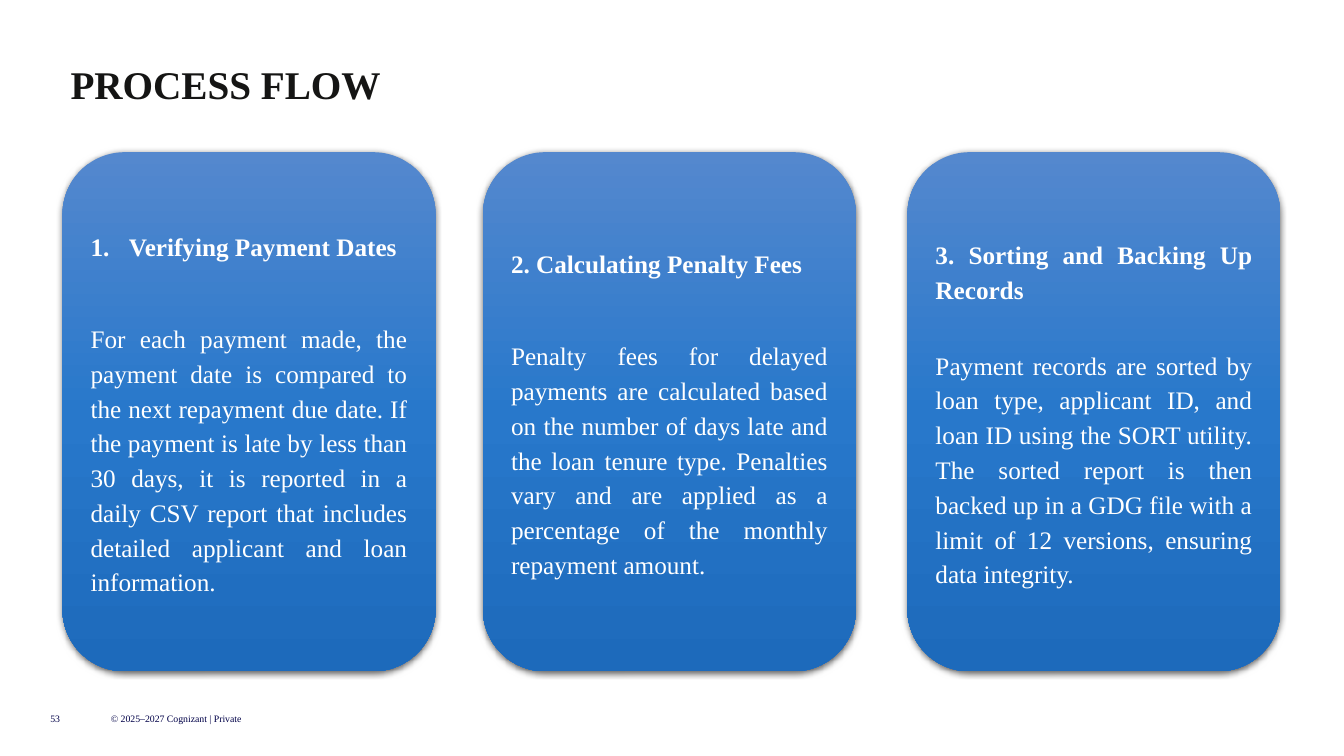
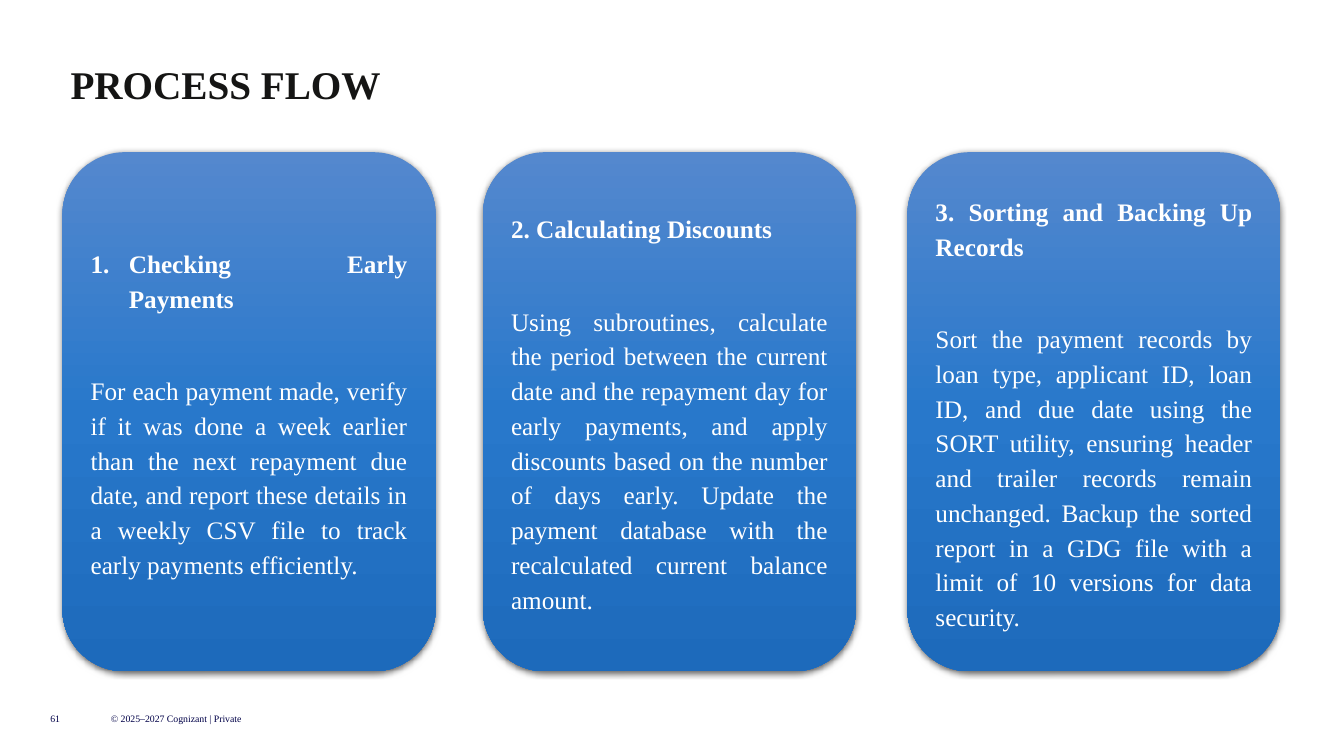
"""Build two process flow slides with three gradient cards each."""
from lxml.etree import SubElement
from pptx import Presentation
from pptx.dml.color import RGBColor
from pptx.enum.shapes import MSO_SHAPE
from pptx.enum.text import MSO_ANCHOR, MSO_AUTO_SIZE, PP_ALIGN
from pptx.oxml import parse_xml
from pptx.oxml.ns import nsdecls, qn
from pptx.util import Inches, Pt

TITLE = "PROCESS FLOW"
FOOTER = "© 2025–2027 Cognizant | Private"

SLIDES = [
    {
        "number": "53",
        "cards": [
            {
                "heading": "Verifying Payment Dates",
                "numbered": True,
                "body": "For each payment made, the payment date is compared to the next "
                        "repayment due date. If the payment is late by less than 30 days, it is "
                        "reported in a daily CSV report that includes detailed applicant and "
                        "loan information.",
            },
            {
                "heading": "2. Calculating Penalty Fees",
                "body": "Penalty fees for delayed payments are calculated based on the number "
                        "of days late and the loan tenure type. Penalties vary and are applied "
                        "as a percentage of the monthly repayment amount.",
            },
            {
                "heading": "3. Sorting and Backing Up Records",
                "gap": 29.5,
                "body": "Payment records are sorted by loan type, applicant ID, and loan ID "
                        "using the SORT utility. The sorted report is then backed up in a GDG "
                        "file with a limit of 12 versions, ensuring data integrity.",
            },
        ],
    },
    {
        "number": "61",
        "cards": [
            {
                "heading": "Checking Early Payments",
                "numbered": True,
                "body": "For each payment made, verify if it was done a week earlier than the "
                        "next repayment due date, and report these details in a weekly CSV file "
                        "to track early payments efficiently.",
            },
            {
                "heading": "2. Calculating Discounts",
                "body": "Using subroutines, calculate the period between the current date and "
                        "the repayment day for early payments, and apply discounts based on the "
                        "number of days early. Update the payment database with the "
                        "recalculated current balance amount.",
            },
            {
                "heading": "3. Sorting and Backing Up Records",
                "body": "Sort the payment records by loan type, applicant ID, loan ID, and due "
                        "date using the SORT utility, ensuring header and trailer records "
                        "remain unchanged. Backup the sorted report in a GDG file with a limit "
                        "of 10 versions for data security.",
            },
        ],
    },
]

THEME = {
    "font": "Times New Roman",
    "title": {"size": 28, "color": "151514", "bold": True},
    "footer": {"size": 7, "color": "000048", "bold": False},
    "heading": {"size": 18, "color": "FFFFFF", "bold": True},
    "body": {"size": 18, "color": "FFFFFF", "bold": False},
    "gradient": [(0, "5488CE"), (50, "2878CB"), (100, "1D6ABB")],
    "shadow": "000000",
}

CARD_LEFTS = (0.62, 4.79, 9)
CARD_TOP, CARD_WIDTH, CARD_HEIGHT = 1.51, 3.7, 5.15
HEADING_GAP, BODY_GAP = 41, 8
NUMBER_INDENT = Inches(0.38)


def write(paragraph, text, style, **spacing):
    """Fill a justified paragraph with one run in a theme style."""
    for name, value in {"alignment": PP_ALIGN.JUSTIFY, **spacing}.items():
        setattr(paragraph, name, value)
    run = paragraph.add_run()
    run.text = text
    values = THEME[style]
    font_format = {"name": THEME["font"], "size": Pt(values["size"]), "bold": values["bold"]}
    for name, value in font_format.items():
        setattr(run.font, name, value)
    run.font.color.rgb = RGBColor.from_string(values["color"])


def set_frame(text_frame, **settings):
    """Remove the insets of a text frame and apply its settings."""
    margins = dict.fromkeys(("margin_left", "margin_top", "margin_right", "margin_bottom"), 0)
    for name, value in {**margins, "word_wrap": True, **settings}.items():
        setattr(text_frame, name, value)


def add_title(slide):
    """Place and format the slide title."""
    title = slide.shapes.title
    box = {"left": 0.7, "top": 0.65, "width": 12.44, "height": 0.42}
    for name, value in box.items():
        setattr(title, name, Inches(value))
    set_frame(title.text_frame, vertical_anchor=MSO_ANCHOR.TOP,
              auto_size=MSO_AUTO_SIZE.SHAPE_TO_FIT_TEXT)
    write(title.text_frame.paragraphs[0], TITLE, "title", line_spacing=0.9)


def add_footer(slide, number):
    """Add the slide number and the copyright line."""
    for text, left, width in ((number, 0.5, 0.4), (FOOTER, 1.1, 1.94)):
        box = slide.shapes.add_textbox(Inches(left), Inches(7), Inches(width), Inches(0.25))
        set_frame(box.text_frame, vertical_anchor=MSO_ANCHOR.MIDDLE)
        write(box.text_frame.paragraphs[0], text, "footer")


def decorate(shape):
    """Give a card its gradient and soft shadow."""
    shape.line.fill.background()
    properties = shape._element.spPr
    stops = "".join(
        f'<a:gs pos="{position * 1000}"><a:srgbClr val="{color}"/></a:gs>'
        for position, color in THEME["gradient"]
    )
    gradient = parse_xml(
        f'<a:gradFill {nsdecls("a")} rotWithShape="1"><a:gsLst>{stops}</a:gsLst>'
        '<a:lin ang="5400000" scaled="0"/></a:gradFill>'
    )
    properties.find(qn("a:prstGeom")).addnext(gradient)
    properties.append(parse_xml(
        f'<a:effectLst {nsdecls("a")}><a:outerShdw blurRad="{Pt(4.5)}" dist="{Pt(1.5)}" '
        f'dir="5400000" algn="ctr" rotWithShape="0"><a:srgbClr val="{THEME["shadow"]}">'
        '<a:alpha val="63000"/></a:srgbClr></a:outerShdw></a:effectLst>'
    ))


def add_card(slide, left, card):
    """Add one rounded card with its heading and body."""
    shape = slide.shapes.add_shape(
        MSO_SHAPE.ROUNDED_RECTANGLE,
        Inches(left), Inches(CARD_TOP), Inches(CARD_WIDTH), Inches(CARD_HEIGHT),
    )
    decorate(shape)
    text_frame = shape.text_frame
    text_frame.word_wrap = True
    text_frame.vertical_anchor = MSO_ANCHOR.MIDDLE
    heading = text_frame.paragraphs[0]
    if card.get("numbered"):
        properties = heading._p.get_or_add_pPr()
        properties.set("marL", str(NUMBER_INDENT))
        properties.set("indent", str(-NUMBER_INDENT))
        SubElement(properties, qn("a:buAutoNum"), type="arabicPeriod")
    write(heading, card["heading"], "heading", line_spacing=1.15,
          space_after=Pt(card.get("gap", HEADING_GAP)))
    write(text_frame.add_paragraph(), card["body"], "body", line_spacing=1.15,
          space_after=Pt(BODY_GAP))


def main():
    """Create and save the presentation."""
    presentation = Presentation()
    presentation.slide_width = Inches(13.33)
    presentation.slide_height = Inches(7.5)
    for content in SLIDES:
        slide = presentation.slides.add_slide(presentation.slide_layouts[5])
        add_footer(slide, content["number"])
        add_title(slide)
        for left, card in zip(CARD_LEFTS, content["cards"]):
            add_card(slide, left, card)
    presentation.save("out.pptx")


if __name__ == "__main__":
    main()
